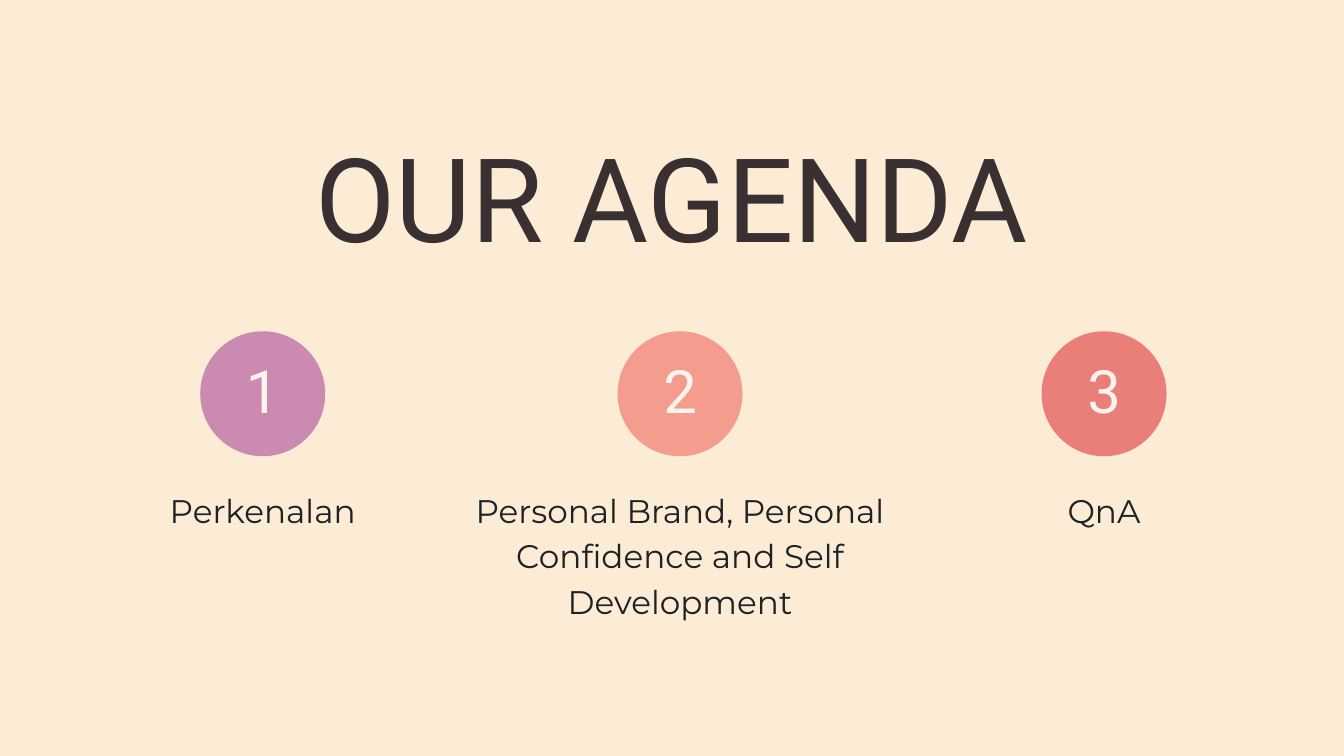
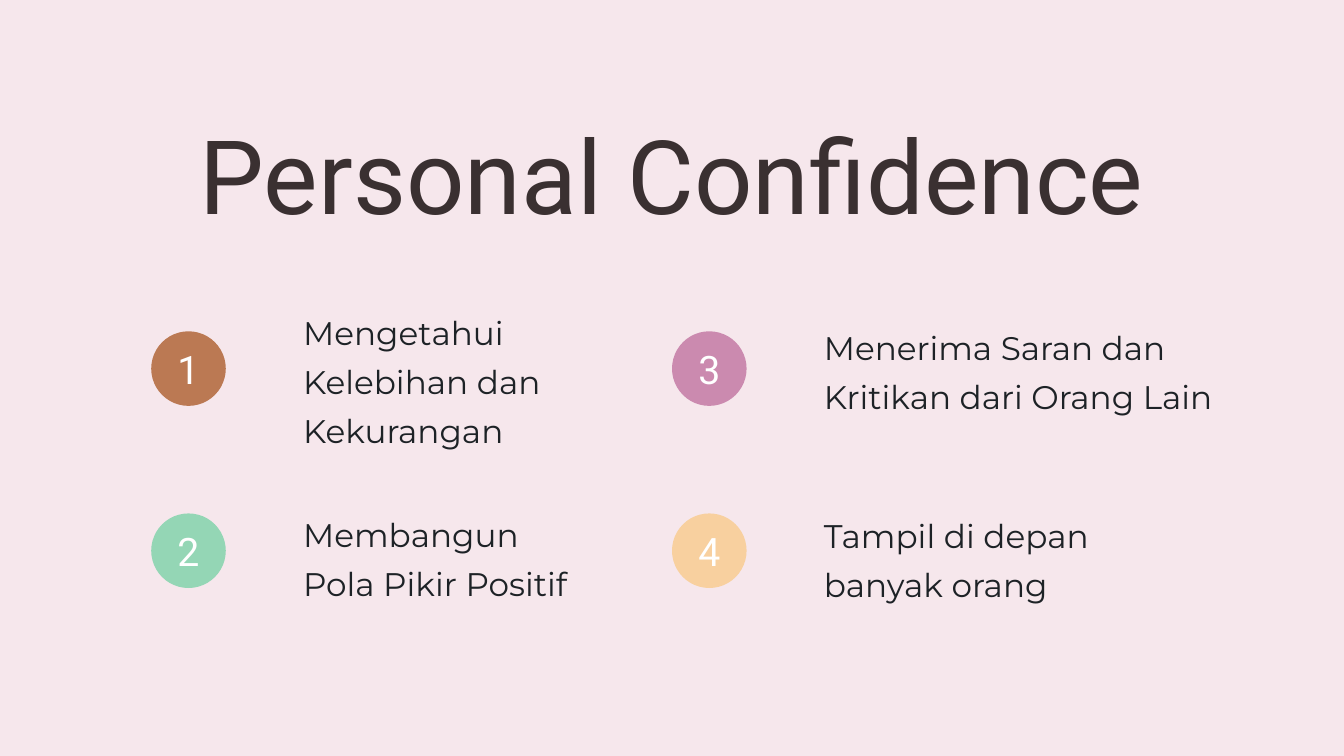
import pptx
import pptx.dml.color
import pptx.enum.shapes
import pptx.enum.text
import pptx.util

RGBColor = pptx.dml.color.RGBColor
Align = pptx.enum.text.PP_ALIGN
Anchor = pptx.enum.text.MSO_ANCHOR

# Palette
CREAM = RGBColor(0xFC, 0xEC, 0xD5)
BLUSH = RGBColor(0xF6, 0xE7, 0xEC)
TITLE_BROWN = RGBColor(0x3A, 0x30, 0x31)
INK = RGBColor(0x1D, 0x22, 0x26)
IVORY = RGBColor(0xFF, 0xF4, 0xED)
WHITE = RGBColor(0xFF, 0xFF, 0xFF)
MAUVE = RGBColor(0xCB, 0x8A, 0xAF)
SALMON = RGBColor(0xF4, 0x9C, 0x8E)
CORAL = RGBColor(0xEA, 0x7E, 0x78)
COPPER = RGBColor(0xBB, 0x79, 0x53)
MINT = RGBColor(0x94, 0xD6, 0xB5)
APRICOT = RGBColor(0xF8, 0xD0, 0x9F)

# Type and grid
HEADING_FONT = "Roboto"
BODY_FONT = "Montserrat"
BODY_SIZE = 35
GRID_COLUMNS = 20
GRID_ROWS = 11.25
TITLE_ONLY_LAYOUT = 5


class Deck:
    """Holds the shared style and the slide being built."""

    def __init__(self):
        self.presentation = pptx.Presentation()
        self.presentation.slide_width = pptx.util.Inches(20)
        self.presentation.slide_height = pptx.util.Inches(11.25)
        self.slide = None

    def box(self, left, top, width, height):
        """Turn grid columns and rows into slide lengths."""
        column = self.presentation.slide_width / GRID_COLUMNS
        row = self.presentation.slide_height / GRID_ROWS
        return (round(left * column), round(top * row),
                round(width * column), round(height * row))

    def style_text(self, shape, text, font, size, color, spacing,
                   alignment=Align.CENTER, anchor=Anchor.TOP, inset=0):
        frame = shape.text_frame
        frame.text = text
        frame.word_wrap = True
        frame.auto_size = pptx.enum.text.MSO_AUTO_SIZE.NONE
        frame.vertical_anchor = anchor
        frame.margin_left = frame.margin_right = pptx.util.Inches(inset)
        frame.margin_top = frame.margin_bottom = pptx.util.Inches(inset)
        paragraph = frame.paragraphs[0]
        paragraph.alignment = alignment
        paragraph.line_spacing = pptx.util.Pt(spacing)
        for run in paragraph.runs:
            run.font.name = font
            run.font.size = pptx.util.Pt(size)
            run.font.color.rgb = color

    def add_slide(self, background):
        layout = self.presentation.slide_layouts[TITLE_ONLY_LAYOUT]
        self.slide = self.presentation.slides.add_slide(layout)
        fill = self.slide.background.fill
        fill.solid()
        fill.fore_color.rgb = background

    def add_title(self, text, top, width, height, size, spacing):
        title = self.slide.shapes.title
        left = (GRID_COLUMNS - width) / 2
        title.left, title.top, title.width, title.height = self.box(
            left, top, width, height)
        self.style_text(title, text, HEADING_FONT, size, TITLE_BROWN, spacing)

    def add_badge(self, number, left, top, diameter, fill, color, size,
                  label_rise, label_height):
        """Numbered disc; the numeral sits slightly above its centre."""
        group = self.slide.shapes.add_group_shape()
        disc = group.shapes.add_shape(
            pptx.enum.shapes.MSO_SHAPE.OVAL,
            *self.box(left, top, diameter, diameter))
        disc.shadow.inherit = False
        disc.fill.solid()
        disc.fill.fore_color.rgb = fill
        disc.line.fill.background()
        label_width = diameter * 0.81
        label = group.shapes.add_textbox(*self.box(
            left + (diameter - label_width) / 2, top - label_rise,
            label_width, label_height))
        self.style_text(label, str(number), HEADING_FONT, size, color,
                        size * 1.4, anchor=Anchor.MIDDLE, inset=0.06)

    def add_text(self, text, left, top, width, lines, spacing, alignment):
        height = lines * spacing / 72
        text_box = self.slide.shapes.add_textbox(
            *self.box(left, top, width, height))
        self.style_text(text_box, text, BODY_FONT, BODY_SIZE, INK, spacing,
                        alignment)


def build_agenda(deck):
    deck.add_slide(CREAM)
    deck.add_title("OUR AGENDA", 2.47, 15.33, 1.64, size=125, spacing=107.5)
    diameter = 1.86
    # Topic, centre column, text width, lines, disc colour
    topics = [
        ("Perkenalan", 3.91, 3.82, 1, MAUVE),
        ("Personal Brand, Personal Confidence and Self Development",
         10.12, 6.31, 3, SALMON),
        ("QnA", 16.43, 3.16, 1, CORAL),
    ]
    for number, (topic, center, width, lines, color) in enumerate(topics, 1):
        deck.add_badge(number, center - diameter / 2, 4.93, diameter, color,
                       IVORY, size=64, label_rise=0.13, label_height=1.82)
        deck.add_text(topic, center - width / 2, 7.2, width, lines,
                      spacing=49, alignment=Align.CENTER)


def build_confidence(deck):
    deck.add_slide(BLUSH)
    deck.add_title("Personal Confidence", 2.18, 16.29, 1.45,
                   size=110, spacing=94.6)
    # Steps run down each column: text, top row, text width, lines, disc colour
    steps = [
        ("Mengetahui Kelebihan dan Kekurangan", 4.51, 5.49, 3, COPPER),
        ("Membangun Pola Pikir Positif", 7.51, 4.35, 2, MINT),
        ("Menerima Saran dan Kritikan dari Orang Lain", 4.73, 6.14, 2, MAUVE),
        ("Tampil di depan banyak orang", 7.53, 4.16, 2, APRICOT),
    ]
    for index, (step, text_top, width, lines, color) in enumerate(steps):
        column, row = divmod(index, 2)
        left = 2.25 + column * 7.75
        deck.add_badge(index + 1, left, 4.93 + row * 2.71, 1.11, color,
                       WHITE, size=42, label_rise=0.01, label_height=1.02)
        deck.add_text(step, left + 2.26, text_top, width, lines,
                      spacing=52.5, alignment=Align.LEFT)


def main():
    deck = Deck()
    build_agenda(deck)
    build_confidence(deck)
    deck.presentation.save("out.pptx")


if __name__ == "__main__":
    main()
